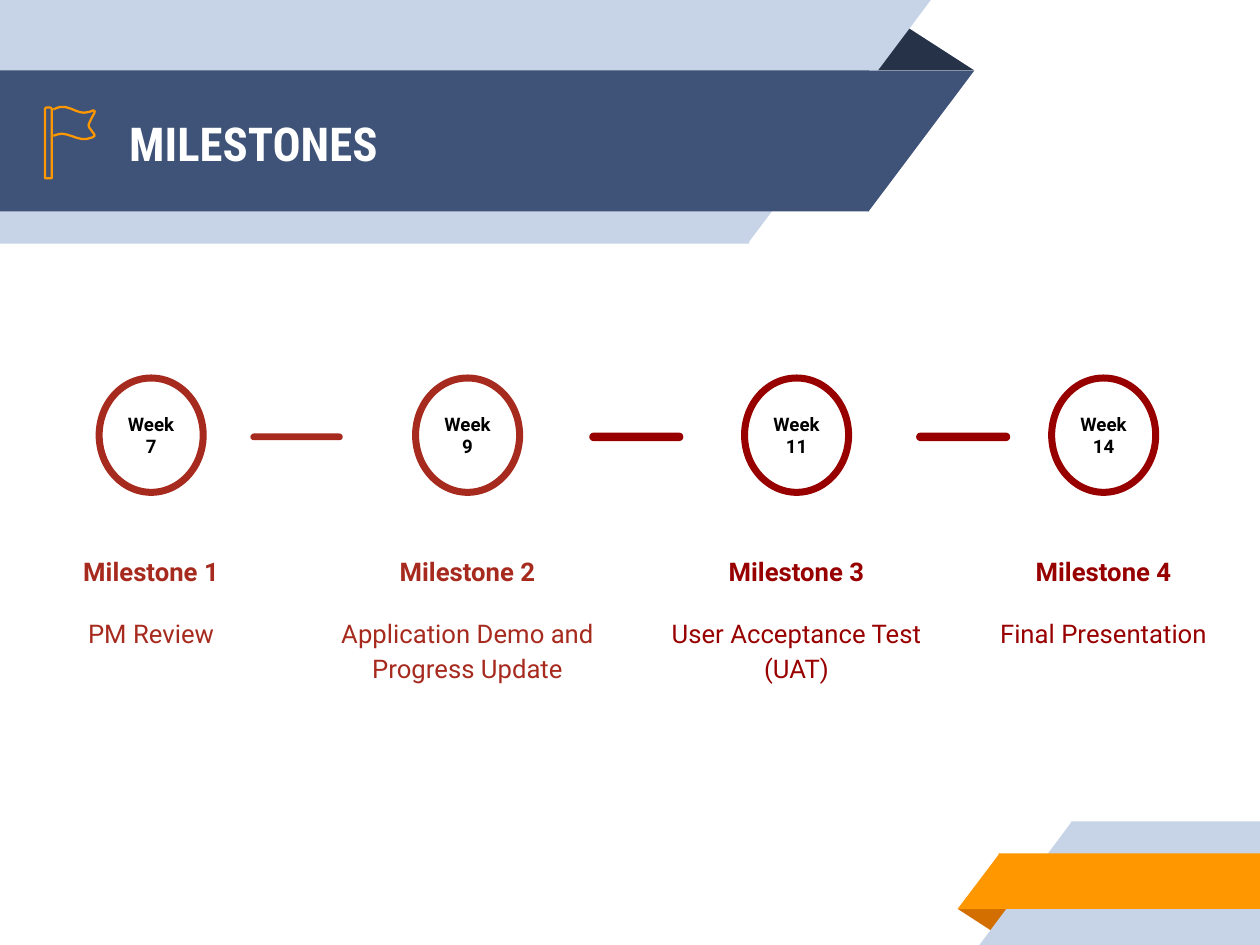
from dataclasses import dataclass

from pptx import Presentation
from pptx.dml.color import RGBColor
from pptx.enum.shapes import MSO_SHAPE
from pptx.enum.text import MSO_ANCHOR, PP_ALIGN
from pptx.shapes.autoshape import Shape
from pptx.slide import Slide
from pptx.text.text import TextFrame
from pptx.util import Pt

RECTANGLE = MSO_SHAPE.RECTANGLE
RIGHT_TRIANGLE = MSO_SHAPE.RIGHT_TRIANGLE
TRIANGLE = MSO_SHAPE.ISOSCELES_TRIANGLE
ELLIPSE = MSO_SHAPE.OVAL
ROUNDED = MSO_SHAPE.ROUNDED_RECTANGLE
TOP, MIDDLE, BOTTOM = MSO_ANCHOR.TOP, MSO_ANCHOR.MIDDLE, MSO_ANCHOR.BOTTOM
LEFT, CENTER = PP_ALIGN.LEFT, PP_ALIGN.CENTER

PALE, NAVY, SHADE = "C7D3E6", "3F5378", "263248"
ORANGE, RUST = "FF9800", "D26F00"
BRICK, CRIMSON = "A72A1E", "980000"
WHITE, BLACK = "FFFFFF", "000000"

BODY_FONT, TITLE_FONT = "Roboto", "Roboto Condensed"
COLUMN_WIDTH = 129.6
RING_WIDTH, RING_HEIGHT = 44.6, 49
RING_TOP, HEADING_TOP, DETAIL_TOP = 162, 219.6, 257.8
BAR_TOP, BAR_WIDTH, BAR_HEIGHT = 185.8, 39.6, 2.9
FOLD_APEX = 0.324


@dataclass
class Box:
    left: float
    top: float
    width: float
    height: float


@dataclass
class RibbonPart:
    kind: MSO_SHAPE
    box: Box
    colour: str
    rotation: int = 0
    flipped: bool = False


@dataclass
class Milestone:
    center: float
    week: int
    detail: str
    colour: str


@dataclass
class Bar:
    left: float
    colour: str
    outline: float = 0


RIBBON_PARTS = [
    RibbonPart(TRIANGLE, Box(371.5, 10.1, 46.1, 20.1), SHADE),
    RibbonPart(RECTANGLE, Box(0, 0, 321.1, 104.4), PALE),
    RibbonPart(RIGHT_TRIANGLE, Box(320.4, 0, 78.5, 104.4), PALE, 180, True),
    RibbonPart(RECTANGLE, Box(0, 30.2, 372.4, 60.5), NAVY),
    RibbonPart(RIGHT_TRIANGLE, Box(372.2, 30.2, 45.4, 60.5), NAVY, 180, True),
    RibbonPart(TRIANGLE, Box(410.4, 389.5, 23, 10.1), RUST, 180),
    RibbonPart(RECTANGLE, Box(459.2, 352.1, 80.8, 52.9), PALE),
    RibbonPart(RIGHT_TRIANGLE, Box(419.8, 352.1, 39.6, 52.9), PALE, 0, True),
    RibbonPart(RECTANGLE, Box(428, 365.8, 112, 23.8), ORANGE),
    RibbonPart(RIGHT_TRIANGLE, Box(410.4, 365.8, 18, 23.8), ORANGE, 0, True),
]

MILESTONES = [
    Milestone(64.8, 7, "PM Review", BRICK),
    Milestone(200.4, 9, "Application Demo and Progress Update", BRICK),
    Milestone(341.4, 11, "User Acceptance Test (UAT)", CRIMSON),
    Milestone(473, 14, "Final Presentation", CRIMSON),
]

BARS = [Bar(107.3, BRICK), Bar(252.9, CRIMSON, 0.75), Bar(393, CRIMSON, 0.75)]

FLAGPOLE = [(22.2, 76.4), (22.2, 46.6), (21.7, 46.1), (19.8, 46.1), (19.3, 46.6), (19.3, 76.4)]
FLAG_CLOTH = [
    (22.9, 58.2), (24.7, 57.6), (26.6, 57.3), (28.8, 57.7), (31, 58.4), (33.1, 59.1),
    (35.3, 59.6), (37.4, 59.5), (39.6, 58.9), (40.6, 58.2), (40.4, 57.5), (39, 55.6),
    (38.2, 54.5), (38, 53.5), (38.4, 52.5), (39.4, 50.5), (40.5, 48.4), (40.6, 47.6),
    (40, 47.3), (38.2, 48), (36, 48.3), (34.5, 48.1), (32.4, 47.4), (30.2, 46.5),
    (28.1, 45.9), (25.9, 45.8), (24.5, 46.2), (22.9, 46.9),
]


def colour_of(value: str) -> RGBColor:
    return RGBColor.from_string(value)


def lengths(box: Box) -> tuple[Pt, Pt, Pt, Pt]:
    return Pt(box.left), Pt(box.top), Pt(box.width), Pt(box.height)


def paint(shape: Shape, fill: str = "", line: str = "", line_width: float = 0) -> None:
    shape.shadow.inherit = False
    if fill:
        shape.fill.solid()
        shape.fill.fore_color.rgb = colour_of(fill)
    else:
        shape.fill.background()
    if line_width:
        shape.line.color.rgb = colour_of(line)
        shape.line.width = Pt(line_width)
    else:
        shape.line.fill.background()


def write(frame: TextFrame, text: str, font: str, size: float, colour: str, bold: bool,
          anchor: MSO_ANCHOR, alignment: PP_ALIGN, inset: float, spacing: float = 1) -> None:
    frame.text = text
    frame.word_wrap = True
    frame.vertical_anchor = anchor
    frame.margin_left = frame.margin_right = Pt(inset)
    frame.margin_top = frame.margin_bottom = Pt(inset)
    paragraph = frame.paragraphs[0]
    paragraph.alignment = alignment
    paragraph.line_spacing = spacing
    run_font = paragraph.runs[0].font
    run_font.name = font
    run_font.size = Pt(size)
    run_font.bold = bold
    run_font.color.rgb = colour_of(colour)


def draw_ribbon_part(slide: Slide, part: RibbonPart) -> None:
    shape = slide.shapes.add_shape(part.kind, *lengths(part.box))
    paint(shape, part.colour)
    shape.rotation = part.rotation
    if part.kind == TRIANGLE:
        shape.adjustments[0] = FOLD_APEX
    if part.flipped:
        shape._element.spPr.xfrm.set("flipH", "1")


def draw_title(slide: Slide) -> None:
    title = slide.shapes.title
    title.left, title.top, title.width, title.height = lengths(Box(48.2, 31, 310.3, 60.5))
    write(title.text_frame, "MILESTONES", TITLE_FONT, 20, WHITE, True, MIDDLE, LEFT, 7.2)
    slide.shapes._spTree.append(title._element)


def draw_outline(slide: Slide, points: list[tuple[float, float]], closed: bool) -> None:
    corners = [(Pt(x), Pt(y)) for x, y in points]
    builder = slide.shapes.build_freeform(*corners[0])
    builder.add_line_segments(corners[1:], close=closed)
    paint(builder.convert_to_shape(), line=ORANGE, line_width=0.96)


def draw_label(slide: Slide, box: Box, text: str, colour: str, bold: bool,
               anchor: MSO_ANCHOR) -> None:
    label = slide.shapes.add_textbox(*lengths(box))
    write(label.text_frame, text, BODY_FONT, 11, colour, bold, anchor, CENTER, 5, 1.15)


def draw_milestone(slide: Slide, number: int, milestone: Milestone) -> None:
    ring_box = Box(milestone.center - RING_WIDTH / 2, RING_TOP, RING_WIDTH, RING_HEIGHT)
    ring = slide.shapes.add_shape(ELLIPSE, *lengths(ring_box))
    paint(ring, line=milestone.colour, line_width=3)
    write(ring.text_frame, f"Week {milestone.week}", BODY_FONT, 8, BLACK, True,
          MIDDLE, CENTER, 5)
    left = milestone.center - COLUMN_WIDTH / 2
    draw_label(slide, Box(left, HEADING_TOP, COLUMN_WIDTH, 36.7), f"Milestone {number}",
               milestone.colour, True, BOTTOM)
    draw_label(slide, Box(left, DETAIL_TOP, COLUMN_WIDTH, 60.5), milestone.detail,
               milestone.colour, False, TOP)


def draw_bar(slide: Slide, bar: Bar) -> None:
    shape = slide.shapes.add_shape(
        ROUNDED, *lengths(Box(bar.left, BAR_TOP, BAR_WIDTH, BAR_HEIGHT)))
    shape.adjustments[0] = 0.5
    paint(shape, bar.colour, bar.colour, bar.outline)


def main() -> None:
    presentation = Presentation()
    presentation.slide_width, presentation.slide_height = Pt(540), Pt(405)
    slide = presentation.slides.add_slide(presentation.slide_layouts[5])
    for part in RIBBON_PARTS:
        draw_ribbon_part(slide, part)
    draw_title(slide)
    for number, milestone in enumerate(MILESTONES, start=1):
        draw_milestone(slide, number, milestone)
    for bar in BARS:
        draw_bar(slide, bar)
    draw_outline(slide, FLAGPOLE, True)
    draw_outline(slide, FLAG_CLOTH, False)
    presentation.save("out.pptx")


if __name__ == "__main__":
    main()
